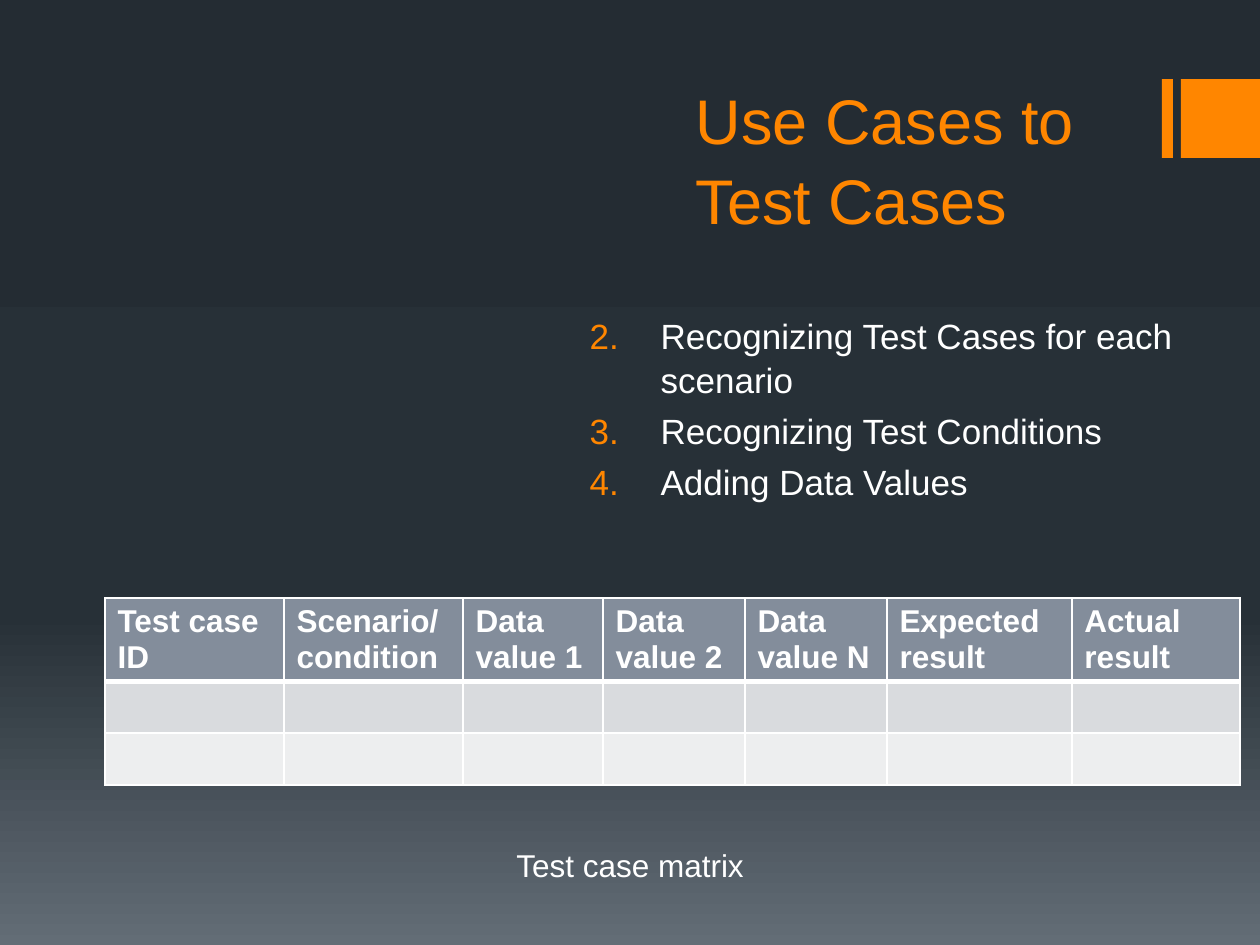
from copy import deepcopy

from lxml.etree import SubElement
from pptx import Presentation
from pptx.dml.color import RGBColor
from pptx.enum.shapes import MSO_SHAPE
from pptx.enum.text import MSO_ANCHOR, MSO_AUTO_SIZE, PP_ALIGN
from pptx.oxml.ns import qn
from pptx.util import Emu, Pt

# Content
TITLE = "Use Cases to Test Cases"
STEPS = [
    "Recognizing Test Cases for each scenario",
    "Recognizing Test Conditions",
    "Adding Data Values",
]
FIRST_STEP = 2
HEADERS = [
    "Test case ID", "Scenario/condition", "Data value 1", "Data value 2",
    "Data value N", "Expected result", "Actual result",
]
CAPTION = "Test case matrix"

# Look
FONT = "Arial"
ORANGE = RGBColor(0xFF, 0x86, 0x00)
WHITE = RGBColor(0xFF, 0xFF, 0xFF)
BACKGROUND = [
    (0, RGBColor(0x24, 0x2C, 0x33)),
    (0.65, RGBColor(0x27, 0x30, 0x37)),
    (1, RGBColor(0x63, 0x6D, 0x76)),
]
ROW_FILLS = [
    RGBColor(0x83, 0x8D, 0x9B),
    RGBColor(0xD9, 0xDB, 0xDE),
    RGBColor(0xED, 0xEE, 0xEF),
]

# Layout in px, 126 to the inch
ACCENT_BARS = [(1162, 79, 11, 79), (1181, 79, 79, 79)]
TITLE_BOX = (683, 84, 462, 159)
STEPS_BOX = (514, 262, 725, 488)
STEPS_TOP_INSET = 50
STEP_INDENT, STEP_HANGING = 134, 71
TABLE_LEFT, TABLE_TOP, ROW_HEIGHT = 105, 598, 52
COLUMN_WIDTHS = [179, 179, 140, 142, 142, 185, 168]
CAPTION_BOX = (504, 840, 325, 50)


def px(length):
    return Emu(round(length * 914400 / 126))


def place(shape, box):
    shape.left, shape.top, shape.width, shape.height = map(px, box)


def write(para, text, size, color=WHITE, bold=False, spacing=1.0, before=0):
    para.alignment = PP_ALIGN.LEFT
    para.line_spacing = spacing
    para.space_before = Pt(before)
    span = para.add_run()
    span.text = text
    span.font.name = FONT
    span.font.size = Pt(size)
    span.font.bold = bold
    span.font.color.rgb = color


def number(para, start, color):
    props = para._p.get_or_add_pPr()
    props.set("marL", str(px(STEP_INDENT)))
    props.set("indent", str(-px(STEP_HANGING)))
    bullet_color = SubElement(props, qn("a:buClr"))
    SubElement(bullet_color, qn("a:srgbClr"), val=str(color))
    SubElement(props, qn("a:buFont"), typeface=FONT)
    SubElement(props, qn("a:buAutoNum"), type="arabicPeriod", startAt=str(start))


def border(cell, **widths):
    props = cell._tc.get_or_add_tcPr()
    for side in "LRTB":
        line = SubElement(props, qn(f"a:ln{side}"), w=str(Pt(widths.get(side, 1))))
        fill = SubElement(line, qn("a:solidFill"))
        SubElement(fill, qn("a:srgbClr"), val=str(WHITE))


def paint_background(page):
    fill = page.background.fill
    fill.gradient()
    fill.gradient_angle = 270
    stops = page.element.find(".//" + qn("a:gsLst"))
    stops.append(deepcopy(stops[0]))
    for stop, (position, color) in zip(fill.gradient_stops, BACKGROUND):
        stop.position = position
        stop.color.rgb = color


def add_accent_bars(page):
    for box in ACCENT_BARS:
        bar = page.shapes.add_shape(MSO_SHAPE.RECTANGLE, *map(px, box))
        bar.shadow.inherit = False
        bar.fill.solid()
        bar.fill.fore_color.rgb = ORANGE
        bar.line.fill.background()


def add_title(page):
    title = page.shapes.title
    place(title, TITLE_BOX)
    frame = title.text_frame
    frame.auto_size = MSO_AUTO_SIZE.NONE
    frame.vertical_anchor = MSO_ANCHOR.BOTTOM
    write(frame.paragraphs[0], TITLE, 36, color=ORANGE, spacing=1.05)


def add_steps(page):
    body = page.placeholders[1]
    place(body, STEPS_BOX)
    frame = body.text_frame
    frame.auto_size = MSO_AUTO_SIZE.NONE
    frame.vertical_anchor = MSO_ANCHOR.TOP
    frame.margin_top = px(STEPS_TOP_INSET)
    for index, step in enumerate(STEPS):
        para = frame.add_paragraph() if index else frame.paragraphs[0]
        para.level = 1
        write(para, step, 20, spacing=1.05, before=4)
        number(para, FIRST_STEP, ORANGE)


def add_matrix(page):
    rows = len(ROW_FILLS)
    table = page.shapes.add_table(
        rows, len(HEADERS), px(TABLE_LEFT), px(TABLE_TOP),
        px(sum(COLUMN_WIDTHS)), px(rows * ROW_HEIGHT)).table
    for column, width in zip(table.columns, COLUMN_WIDTHS):
        column.width = px(width)
    for index, (row, color) in enumerate(zip(table.rows, ROW_FILLS)):
        row.height = px(ROW_HEIGHT)
        for cell in row.cells:
            # The rule under the header is thicker than the others
            border(cell, B=3 if index == 0 else 1, T=3 if index == 1 else 1)
            cell.fill.solid()
            cell.fill.fore_color.rgb = color
    for cell, header in zip(table.rows[0].cells, HEADERS):
        write(cell.text_frame.paragraphs[0], header, 18, bold=True)


def add_caption(page):
    frame = page.shapes.add_textbox(*map(px, CAPTION_BOX)).text_frame
    frame.word_wrap = True
    frame.auto_size = MSO_AUTO_SIZE.SHAPE_TO_FIT_TEXT
    write(frame.paragraphs[0], CAPTION, 18)


def main():
    deck = Presentation()
    deck.slide_width, deck.slide_height = px(1260), px(945)
    page = deck.slides.add_slide(deck.slide_layouts[1])
    paint_background(page)
    add_accent_bars(page)
    add_title(page)
    add_steps(page)
    add_matrix(page)
    add_caption(page)
    deck.save("out.pptx")


if __name__ == "__main__":
    main()
